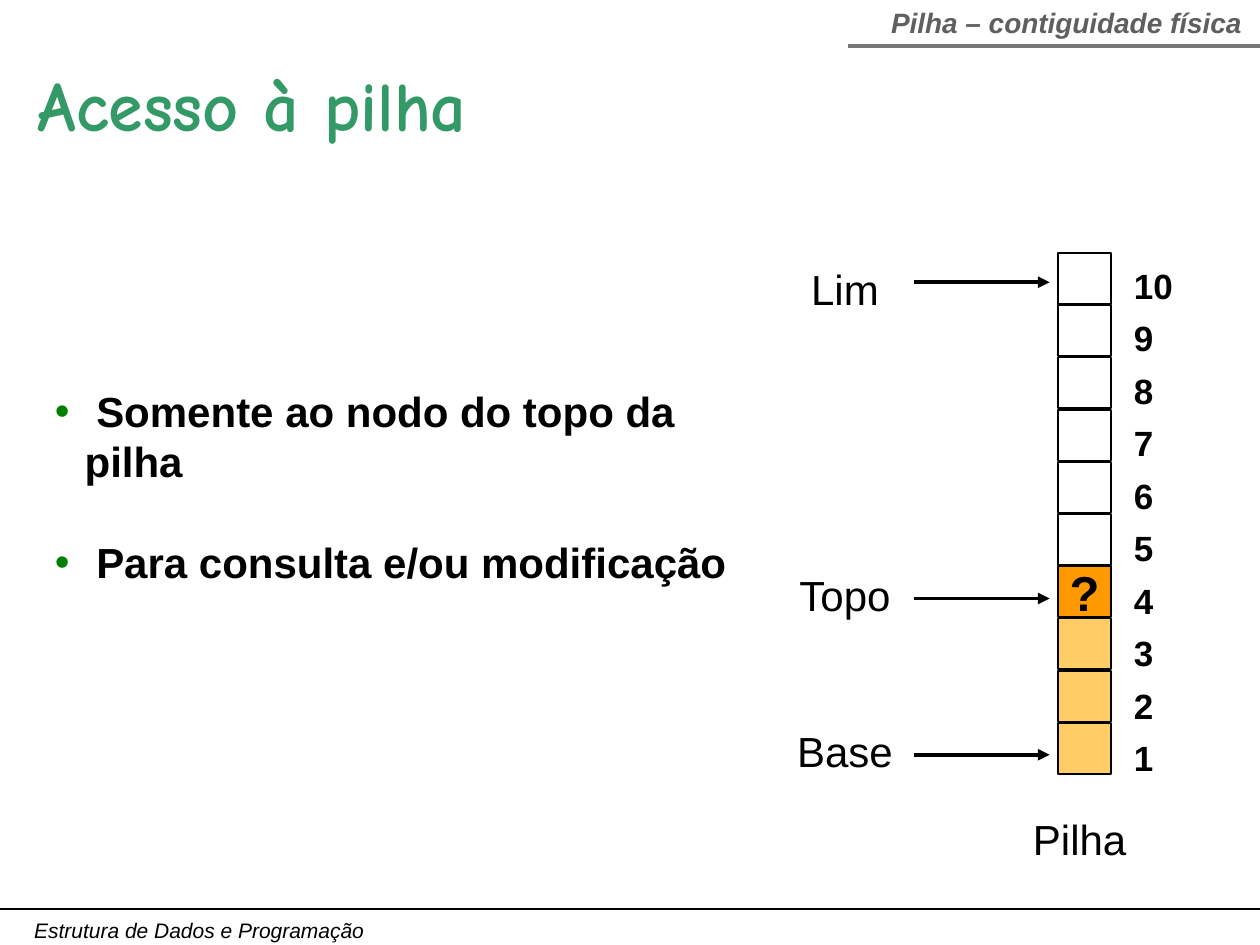
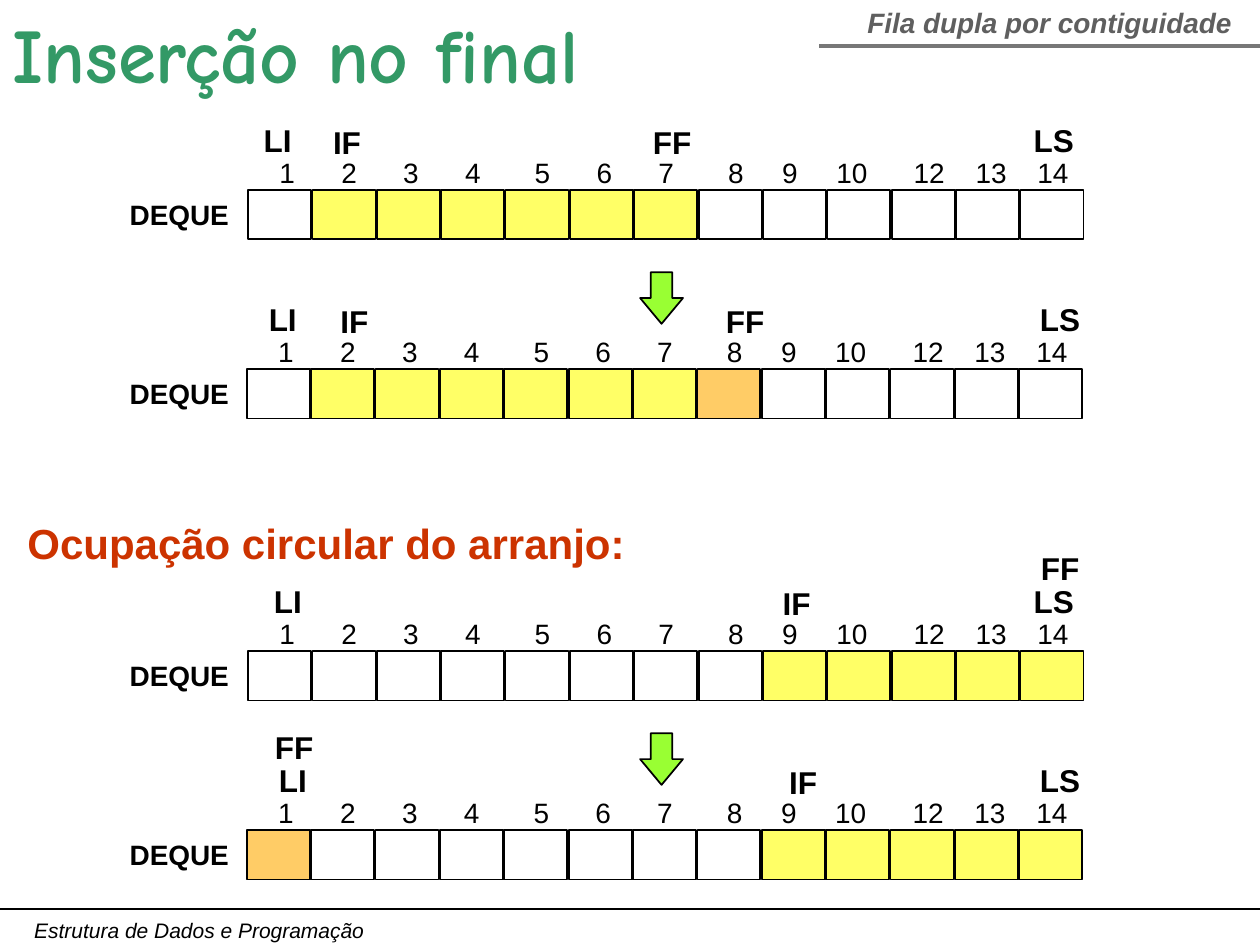
from itertools import accumulate

from lxml import etree
from pptx import Presentation
from pptx.dml.color import RGBColor
from pptx.enum import shapes, text
from pptx.oxml import ns
from pptx.util import Pt

BLACK = RGBColor(0x00, 0x00, 0x00)
WHITE = RGBColor(0xFF, 0xFF, 0xFF)
GREEN_TITLE = RGBColor(0x33, 0x99, 0x66)
GREEN_BULLET = RGBColor(0x00, 0x80, 0x00)
GREEN_ARROW = RGBColor(0x99, 0xFF, 0x33)
GRAY_TEXT = RGBColor(0x5F, 0x5F, 0x5F)
GRAY_LINE = RGBColor(0x77, 0x77, 0x77)
RED = RGBColor(0xCC, 0x33, 0x00)
YELLOW = RGBColor(0xFF, 0xFF, 0x66)
LIGHT_ORANGE = RGBColor(0xFF, 0xCC, 0x66)
ORANGE = RGBColor(0xFF, 0x99, 0x00)

SLIDE_WIDTH, SLIDE_HEIGHT = 720, 540
BODY_FONT, TITLE_FONT = "Arial", "Comic Neue"
CENTER = text.PP_ALIGN.CENTER
MIDDLE = text.MSO_ANCHOR.MIDDLE

INDICES = ["1", "2", "3", "4", "5", "6", "7", "8", "9", "10", "12", "13", "14"]
INDEX_GAPS = [6, 6, 6, 7, 6, 6, 7, 5, 5, 6, 4, 4]  # in space widths
SPACE_WIDTH = 4.42
INDEX_STOPS = list(accumulate(
    (2 * len(index) + gap) * SPACE_WIDTH for index, gap in zip(INDICES, INDEX_GAPS)))


def write_text(frame, content, size=24, font=BODY_FONT, color=BLACK, bold=False,
               italic=False, align=None, anchor=None, wrap=False, line_spacing=None,
               space_before=0, bullet=None, tabs=()):
    """Fill a text frame with one paragraph per line of content."""
    frame.word_wrap = wrap
    if anchor is not None:
        frame.vertical_anchor = anchor
    for number, line in enumerate(content.split("\n")):
        paragraph = frame.add_paragraph() if number else frame.paragraphs[0]
        if bullet:
            add_bullet(paragraph, bullet)
        if tabs:
            add_tabs(paragraph, tabs)
        if align is not None:
            paragraph.alignment = align
        if line_spacing:
            paragraph.line_spacing = line_spacing
        if number and space_before:
            paragraph.space_before = Pt(space_before)
        run = paragraph.add_run()
        run.text = line
        run.font.name = font
        run.font.size = Pt(size)
        run.font.bold = bold
        run.font.italic = italic
        run.font.color.rgb = color


def add_element(parent, tag, **attributes):
    element = etree.SubElement(parent, ns.qn(tag))
    for name, value in attributes.items():
        element.set(name, str(value))
    return element


def add_bullet(paragraph, color, indent=17):
    properties = paragraph._p.get_or_add_pPr()
    properties.set("marL", str(Pt(indent)))
    properties.set("indent", str(-Pt(indent)))
    add_element(add_element(properties, "a:buClr"), "a:srgbClr", val=color)
    add_element(properties, "a:buFont", typeface=BODY_FONT)
    add_element(properties, "a:buChar", char="•")


def add_tabs(paragraph, stops):
    tab_list = add_element(paragraph._p.get_or_add_pPr(), "a:tabLst")
    for stop in stops:
        add_element(tab_list, "a:tab", pos=Pt(stop), algn="l")


class Deck:
    """Holds the presentation, the current slide and the shared style."""

    def __init__(self):
        self.presentation = Presentation()
        self.presentation.slide_width = Pt(SLIDE_WIDTH)
        self.presentation.slide_height = Pt(SLIDE_HEIGHT)
        self.slide = None

    def start_slide(self, title, title_box, title_size, section, section_box, rule_left):
        self.slide = self.presentation.slides.add_slide(self.presentation.slide_layouts[6])
        self.text("Estrutura de Dados e Programação", 12.5, 520.6, 204.5, 21.6,
                  size=12, italic=True)
        self.line(0, 519.5, SLIDE_WIDTH, 519.5, width=0.75)
        self.line(rule_left, 26.1, SLIDE_WIDTH, 26.1, color=GRAY_LINE)
        self.text(section, *section_box, size=16, color=GRAY_TEXT, bold=True,
                  italic=True, align=CENTER)
        self.text(title, *title_box, size=title_size, font=TITLE_FONT,
                  color=GREEN_TITLE, bold=True)

    def text(self, content, left, top, width, height, **style):
        box = self.slide.shapes.add_textbox(Pt(left), Pt(top), Pt(width), Pt(height))
        write_text(box.text_frame, content, **style)

    def label(self, content, center, top, width, height, **style):
        self.text(content, center - width / 2, top, width, height,
                  align=CENTER, anchor=MIDDLE, **style)

    def shape(self, kind, left, top, width, height, fill):
        shape = self.slide.shapes.add_shape(kind, Pt(left), Pt(top), Pt(width), Pt(height))
        shape.shadow.inherit = False
        shape.fill.solid()
        shape.fill.fore_color.rgb = fill
        shape.line.color.rgb = BLACK
        shape.line.width = Pt(1)
        return shape

    def cell(self, left, top, width, height, fill):
        return self.shape(shapes.MSO_SHAPE.RECTANGLE, left, top, width, height, fill)

    def down_arrow(self, left, top):
        arrow = self.shape(shapes.MSO_SHAPE.DOWN_ARROW, left, top, 24.5, 29.5, GREEN_ARROW)
        arrow.adjustments[0] = 0.5
        arrow.adjustments[1] = 0.6

    def line(self, x1, y1, x2, y2, color=BLACK, width=2.25, arrow=False):
        connector = self.slide.shapes.add_connector(
            shapes.MSO_CONNECTOR.STRAIGHT, Pt(x1), Pt(y1), Pt(x2), Pt(y2))
        connector.line.color.rgb = color
        connector.line.width = Pt(width)
        if arrow:
            add_element(connector.line._get_or_add_ln(), "a:tailEnd", type="triangle")
        add_element(connector._element.spPr, "a:effectLst")

    def deque(self, left, top, occupied, labels, inserted=None):
        """Draw a row of cells; labels are (name, center, rise above the cells)."""
        for name, center, rise in labels:
            self.label(name, center, top - rise, 50, 28.8, size=18, bold=True)
        for position in range(len(INDICES)):
            fill = YELLOW if position in occupied else WHITE
            if position == inserted:
                fill = LIGHT_ORANGE
            self.cell(left + position * 36.78, top, 36, 28.1, fill)
        self.text("\t".join(INDICES), left + 10.8, top - 23.2, 480, 26.6, size=16,
                  wrap=True, tabs=INDEX_STOPS)
        self.text("DEQUE", 67, top + 0.7, 71.3, 26.6, size=16, bold=True)


def build_stack_access(deck):
    deck.start_slide("Acesso à pilha", (14.4, 31.7, 292.3, 55.4), 40,
                     "Pilha – contiguidade física", (501.8, -0.4, 215.3, 26.6), 484.6)
    capacity, top_node = 10, 4
    for node in range(1, capacity + 1):
        fill = LIGHT_ORANGE if node < top_node else ORANGE if node == top_node else WHITE
        cell = deck.cell(604.6, 144.6 + (capacity - node) * 29.84, 30.2, 29, fill)
        if node == top_node:
            write_text(cell.text_frame, "?", size=28, bold=True, align=CENTER, anchor=MIDDLE)
    for name, label_top, arrow_y in (("Lim", 149, 161.3), ("Topo", 324, 342),
                                     ("Base", 413.3, 431.3)):
        deck.label(name, 482.8, label_top, 90, 31.7)
        deck.line(522, arrow_y, 599.8, arrow_y, arrow=True)
    deck.text("Pilha", 583.2, 461.5, 67.7, 36)
    deck.text("\n".join(str(node) for node in range(capacity, 0, -1)),
              640.8, 141.6, 36.7, 307.4, size=20, bold=True, line_spacing=1.25)
    deck.text(" Somente ao nodo do topo da pilha\n Para consulta e/ou modificação",
              24.3, 216.7, 421.9, 93.6, bold=True, wrap=True, bullet=GREEN_BULLET,
              space_before=28.8)


def build_deque_insertion(deck):
    deck.start_slide("Inserção no final", (0, 0, 377.3, 59.8), 44,
                     "Fila dupla por contiguidade", (488.2, -0.4, 223.2, 26.6), 468)
    limit_rise, end_rise, stacked_rise = 43.2, 42, 61.8
    before_left, after_left = 141.8, 141.1
    deck.deque(before_left, 108.7, range(1, 7), [
        ("LI", 158.7, limit_rise), ("IF", 198.3, end_rise),
        ("FF", 384.1, end_rise), ("LS", 602.2, limit_rise)])
    deck.deque(after_left, 211, range(1, 7), [
        ("LI", 161.6, limit_rise), ("IF", 202.6, end_rise),
        ("FF", 425.8, end_rise), ("LS", 605.8, limit_rise)], inserted=7)
    deck.text("Ocupação circular do arranjo:", 8.6, 292.3, 355.7, 36, color=RED, bold=True)
    deck.deque(before_left, 372.2, range(8, 13), [
        ("LI", 164.5, limit_rise), ("IF", 455.3, end_rise),
        ("LS", 602.2, limit_rise), ("FF", 605.8, stacked_rise)])
    deck.deque(after_left, 474.5, range(8, 13), [
        ("LI", 167.4, limit_rise), ("FF", 168.1, stacked_rise),
        ("IF", 459, end_rise), ("LS", 605.8, limit_rise)], inserted=0)
    for arrow_top in (155.5, 419):
        deck.down_arrow(365.8, arrow_top)


def main():
    deck = Deck()
    build_stack_access(deck)
    build_deque_insertion(deck)
    deck.presentation.save("out.pptx")


if __name__ == "__main__":
    main()
